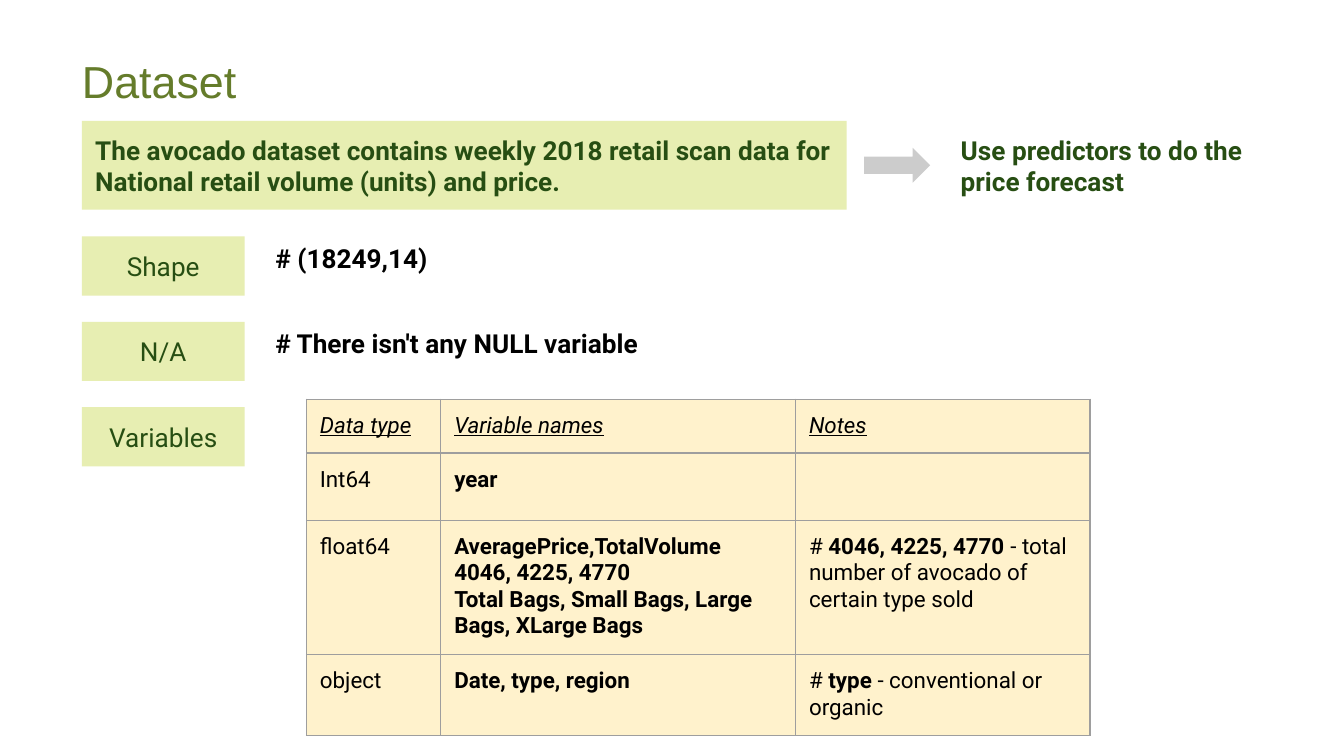
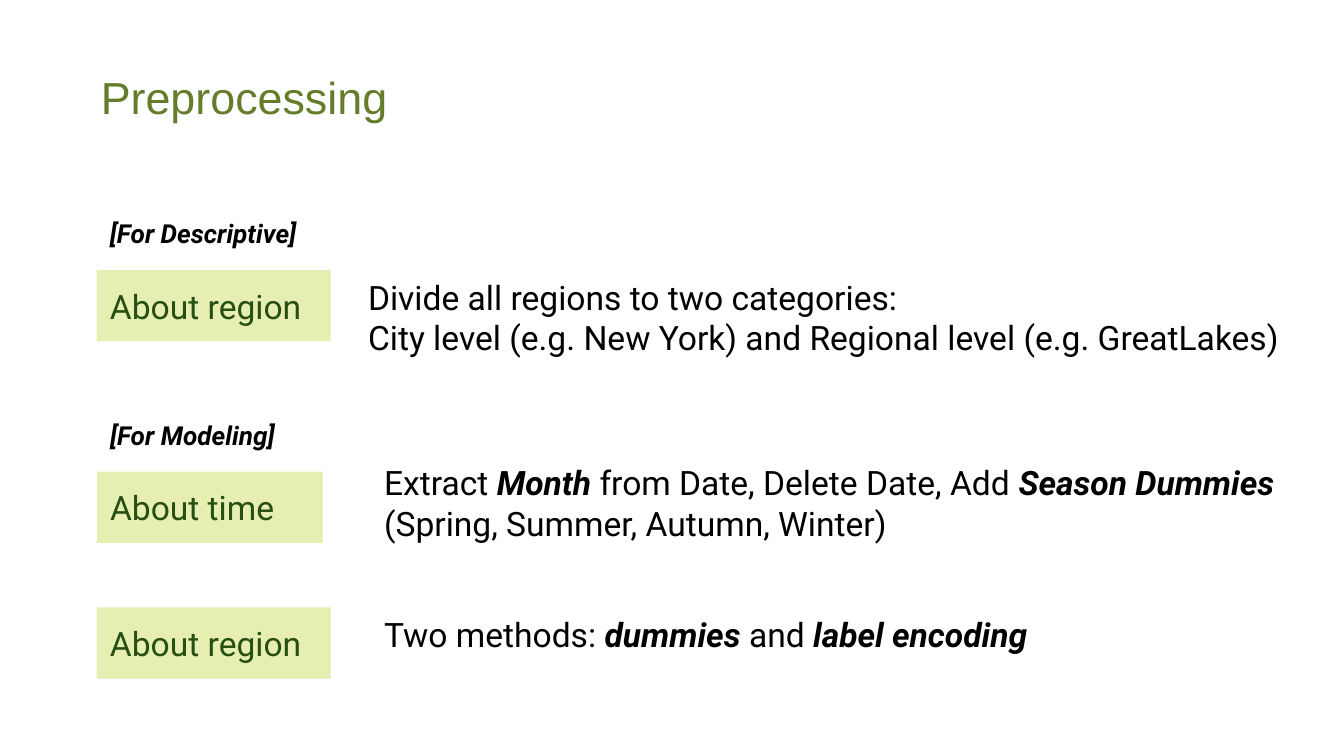
from dataclasses import dataclass

from lxml import etree
from pptx import Presentation
from pptx import util as u
from pptx.dml.color import RGBColor
from pptx.enum import shapes, text
from pptx.oxml import ns

# Shared look
OLIVE, FOREST, BLACK = "657C2B", "274E13", "000000"
LIME, CREAM, GREY, RULE = "E7EEB2", "FFF2CC", "CCCCCC", "9E9E9E"
HEAD_FONT, BODY_FONT = "Arial", "Roboto"
INSET = 0.1


@dataclass(frozen=True)
class Span:
    words: str
    bold: bool = False
    italic: bool = False
    underline: bool = False


@dataclass(frozen=True)
class Box:
    left: float
    top: float
    width: float
    height: float

    def emu(self) -> tuple:
        return tuple(u.Inches(n) for n in (self.left, self.top, self.width, self.height))


@dataclass(frozen=True)
class Style:
    size: float
    color: str = BLACK
    font: str = BODY_FONT
    centered: bool = False


@dataclass(frozen=True)
class Block:
    box: Box
    lines: list
    style: Style
    fill: str = ""
    gaps: tuple = ()


def rgb(value: str) -> RGBColor:
    return RGBColor.from_string(value)


def bold(words: str) -> Span:
    return Span(words, bold=True)


def strong(words: str) -> Span:
    return Span(words, bold=True, italic=True)


def write(frame, lines: list, style: Style, gaps: tuple = ()) -> None:
    """Fill a text frame; gaps holds the space before each line in points."""
    for index, spans in enumerate(lines):
        line = frame.paragraphs[0] if index == 0 else frame.add_paragraph()
        line.alignment = text.PP_ALIGN.CENTER if style.centered else text.PP_ALIGN.LEFT
        if gaps and gaps[index]:
            line.space_before = u.Pt(gaps[index])
        for span in spans:
            run = line.add_run()
            run.text = span.words
            run.font.name = style.font
            run.font.size = u.Pt(style.size)
            run.font.color.rgb = rgb(style.color)
            run.font.bold = span.bold
            run.font.italic = span.italic
            run.font.underline = span.underline


def set_insets(holder) -> None:
    for side in ("left", "top", "right", "bottom"):
        setattr(holder, f"margin_{side}", u.Inches(INSET))


def add_plain_shape(slide, kind, box: Box, fill: str):
    shape = slide.shapes.add_shape(kind, *box.emu())
    shape.shadow.inherit = False
    shape.fill.solid()
    shape.fill.fore_color.rgb = rgb(fill)
    shape.line.fill.background()
    return shape


def add_block(slide, block: Block) -> None:
    """Draw a text box, or a filled band when the block has a fill."""
    if block.fill:
        shape = add_plain_shape(slide, shapes.MSO_SHAPE.RECTANGLE, block.box, block.fill)
        anchor = text.MSO_ANCHOR.MIDDLE
    else:
        shape = slide.shapes.add_textbox(*block.box.emu())
        anchor = text.MSO_ANCHOR.TOP
    frame = shape.text_frame
    frame.word_wrap = True
    frame.vertical_anchor = anchor
    set_insets(frame)
    write(frame, block.lines, block.style, block.gaps)


def add_titled_slide(deck, title: str, left: float, top: float):
    slide = deck.slides.add_slide(deck.slide_layouts[5])
    heading = slide.shapes.title
    heading.left, heading.top, heading.width, heading.height = Box(left, top, 5.91, 0.66).emu()
    frame = heading.text_frame
    frame.word_wrap = True
    frame.auto_size = text.MSO_AUTO_SIZE.NONE
    frame.vertical_anchor = text.MSO_ANCHOR.BOTTOM
    set_insets(frame)
    write(frame, [[Span(title)]], Style(24, OLIVE, HEAD_FONT))
    return slide


def add_borders(cell) -> None:
    props = cell._tc.get_or_add_tcPr()
    for side in ("lnL", "lnR", "lnT", "lnB"):
        edge = etree.SubElement(props, ns.qn(f"a:{side}"), w=str(u.Pt(0.75)))
        paint = etree.SubElement(edge, ns.qn("a:solidFill"))
        etree.SubElement(paint, ns.qn("a:srgbClr"), val=RULE)


def size_empty_cell(cell, points: int) -> None:
    """Give an empty cell the line height that sets its row."""
    end = etree.SubElement(cell.text_frame.paragraphs[0]._p, ns.qn("a:endParaRPr"),
                           sz=str(points * 100))
    etree.SubElement(end, ns.qn("a:latin"), typeface=HEAD_FONT)


def add_grid(slide, left: float, top: float, widths: list, heights: list,
             rows: list, style: Style) -> None:
    box = Box(left, top, sum(widths), sum(heights))
    table = slide.shapes.add_table(len(rows), len(widths), *box.emu()).table
    table.first_row = table.horz_banding = False
    for column, width in zip(table.columns, widths):
        column.width = u.Inches(width)
    for row, height, contents in zip(table.rows, heights, rows):
        row.height = u.Inches(height)
        for cell, lines in zip(row.cells, contents):
            add_borders(cell)
            cell.fill.solid()
            cell.fill.fore_color.rgb = rgb(CREAM)
            set_insets(cell)
            write(cell.text_frame, lines, style)
            if not lines:
                size_empty_cell(cell, 18)


def build_dataset(deck) -> None:
    slide = add_titled_slide(deck, "Dataset", 0.51, 0.24)
    body, accent = Style(14), Style(14, FOREST)

    # Summary band, arrow and goal
    summary = ("The avocado dataset contains weekly 2018 retail scan data for "
               "National retail volume (units) and price.")
    add_block(slide, Block(Box(0.61, 0.9, 5.69, 0.66), [[bold(summary)]], accent, LIME))
    add_plain_shape(slide, shapes.MSO_SHAPE.RIGHT_ARROW, Box(6.43, 1.1, 0.49, 0.26), GREY)
    add_block(slide, Block(Box(7.05, 0.9, 2.62, 0.45),
                           [[bold("Use predictors to do the price forecast")]], accent))

    # Evenly spaced labels with their findings
    first_top, last_top = 1.76, 3.03
    facts = [("Shape", "# (18249,14)"),
             ("N/A", "# There isn't any NULL variable"),
             ("Variables", "")]
    step = (last_top - first_top) / (len(facts) - 1)
    for index, (label, finding) in enumerate(facts):
        top = first_top + index * step
        add_block(slide, Block(Box(0.61, top, 1.21, 0.44), [[Span(label)]],
                               Style(14, FOREST, centered=True), LIME))
        if finding:
            add_block(slide, Block(Box(1.95, top - 0.06, 4.98, 0.38), [[bold(finding)]], body))

    # Variables by data type
    header = [[[Span(name, italic=True, underline=True)]]
              for name in ("Data type", "Variable names", "Notes")]
    rows = [
        header,
        [[[Span("Int64")]], [[bold("year")]], []],
        [[[Span("float64")]],
         [[bold("AveragePrice,TotalVolume")],
          [bold("4046, 4225, 4770")],
          [bold("Total Bags, Small Bags, Large Bags, XLarge Bags")]],
         [[Span("# "), bold("4046, 4225, 4770"),
           Span(" - total number of avocado of certain type sold")]]],
        [[[Span("object")]],
         [[bold("Date, type, region")]],
         [[Span("# "), bold("type"), Span(" - conventional or organic")]]],
    ]
    add_grid(slide, 2.28, 2.97, [1, 2.64, 2.19], [0.38, 0.37, 0.95, 0.56], rows, Style(12))


def build_preprocessing(deck) -> None:
    slide = add_titled_slide(deck, "Preprocessing", 0.65, 0.36)
    left, body = 0.72, Style(18)

    # Section captions
    for caption, top, width in (("[For Descriptive]", 1.52, 2.56),
                                ("[For Modeling]", 3.02, 1.68)):
        add_block(slide, Block(Box(left, top, width, 0.39), [[strong(caption)]], Style(14)))

    # Topic labels
    for topic, top, width in (("About region", 2.01, 1.74),
                              ("About time", 3.51, 1.68),
                              ("About region", 4.52, 1.74)):
        add_block(slide, Block(Box(left, top, width, 0.53), [[Span(topic)]],
                               Style(18, FOREST), LIME))

    # Explanations
    add_block(slide, Block(Box(2.64, 1.96, 7.11, 0.63), [
        [Span("Divide all regions to two categories:")],
        [Span("City level (e.g. New York) and Regional level (e.g. GreatLakes)")],
    ], body))
    add_block(slide, Block(Box(2.76, 3.34, 7.24, 1.71), [
        [Span("Extract "), strong("Month"), Span(" from Date, Delete Date, Add "),
         strong("Season Dummies")],
        [Span("(Spring, Summer, Autumn, Winter)")],
        [Span("Two methods: "), strong("dummies"), Span(" and "), strong("label encoding")],
    ], body, gaps=(0, 0, 38)))


def main() -> None:
    deck = Presentation()
    deck.slide_width = u.Inches(10)
    deck.slide_height = deck.slide_width * 9 // 16
    build_dataset(deck)
    build_preprocessing(deck)
    deck.save("out.pptx")


if __name__ == "__main__":
    main()
